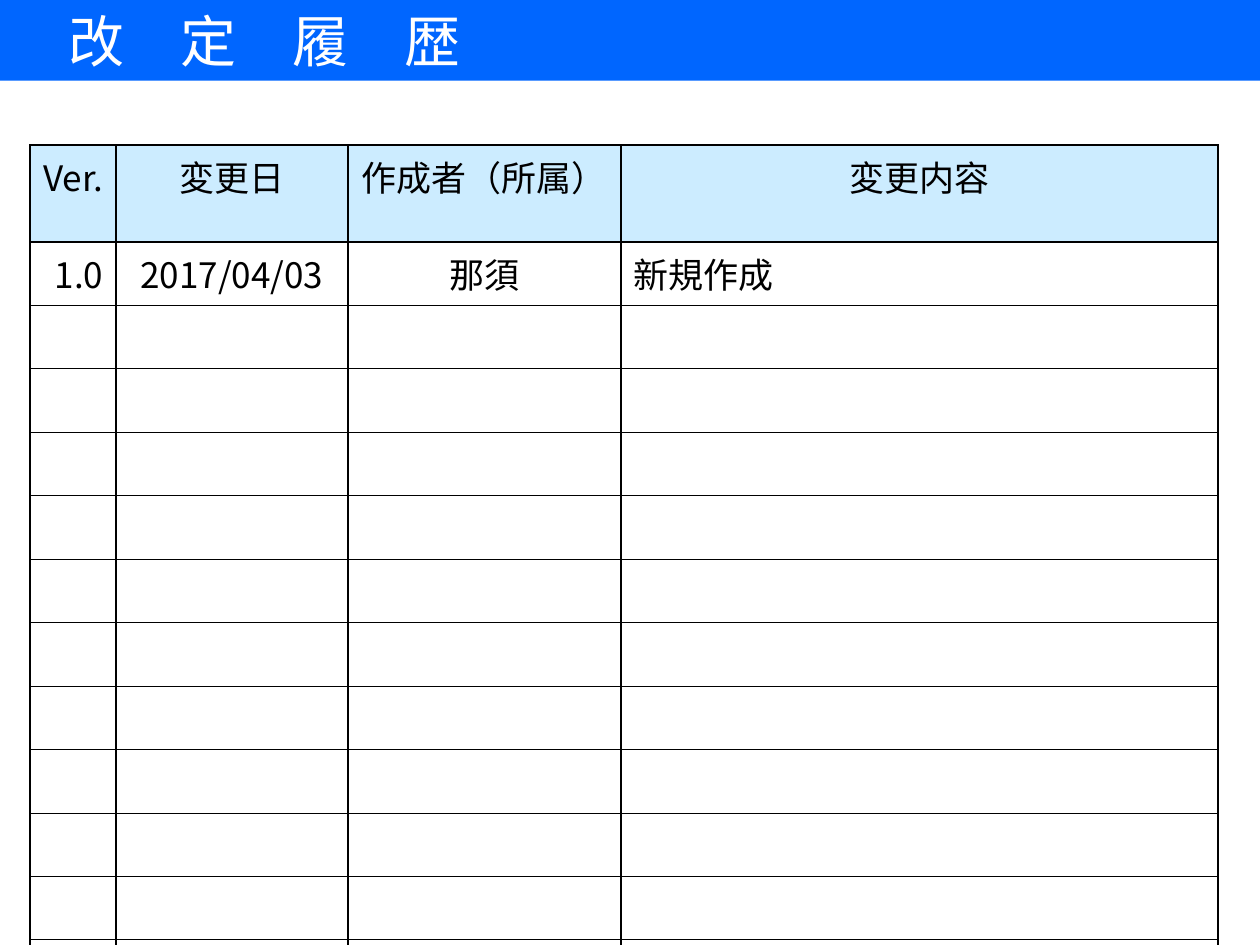
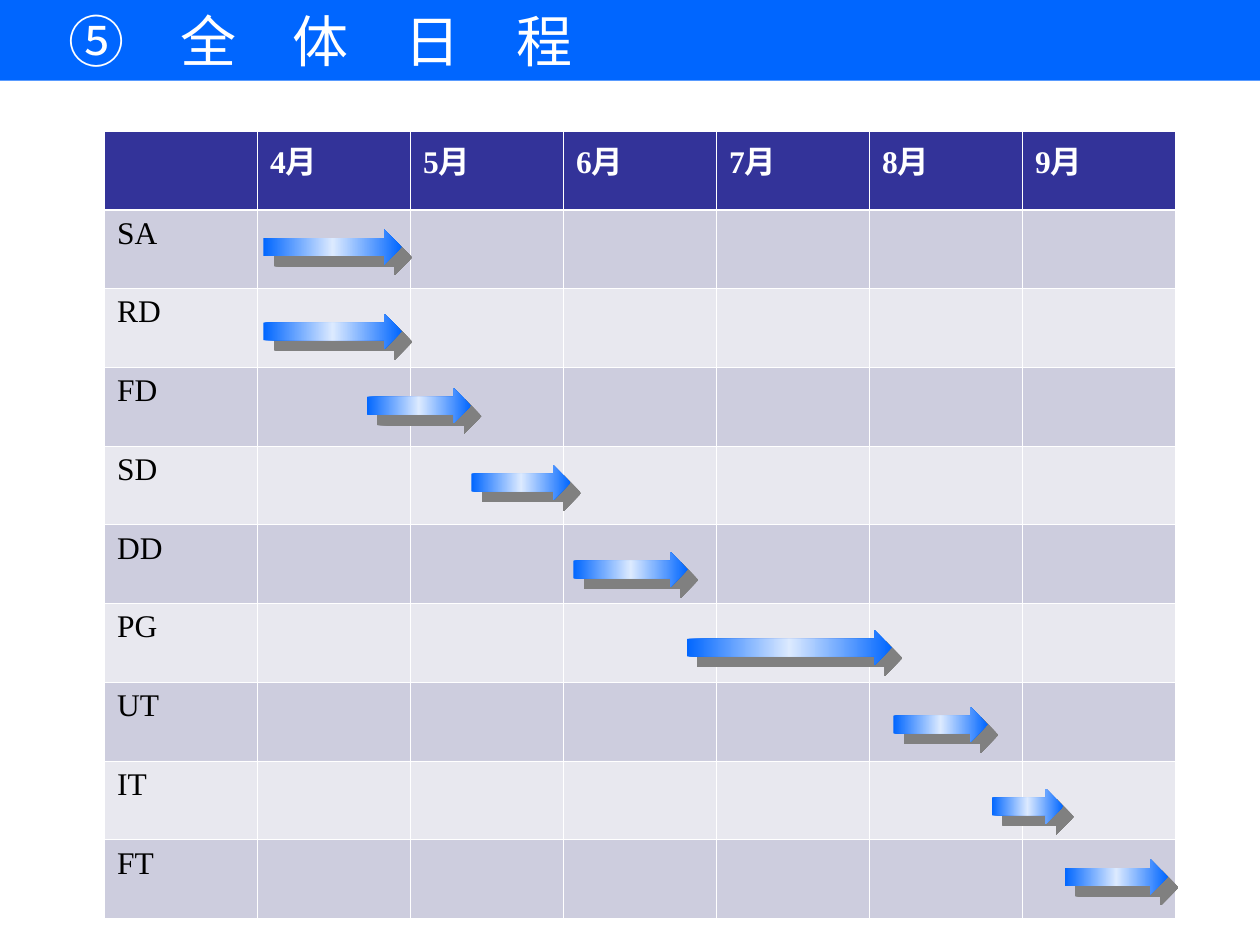
from dataclasses import dataclass

from pptx import Presentation, util as u
from pptx.dml.color import RGBColor
from pptx.enum import shapes, text
from pptx.oxml import parse_xml
from pptx.oxml.ns import nsdecls, qn


@dataclass(frozen=True)
class Theme:
    band: str = "0066FF"
    shine: str = "DCEAFF"
    shadow: str = "808080"
    ink: str = "000000"
    paper: str = "FFFFFF"
    history_header: str = "CCECFF"
    month_header: str = "333399"
    stripes: tuple = ("CDCDDE", "E8E8EF")
    serif: str = "Times New Roman"
    sans: str = "Noto Sans CJK JP"
    title_size: int = 32
    history_size: int = 20
    schedule_size: int = 18
    thin: float = 0.45
    medium: float = 1.08
    thick: float = 1.47


THEME = Theme()
LEFT, CENTER, RIGHT = text.PP_ALIGN.LEFT, text.PP_ALIGN.CENTER, text.PP_ALIGN.RIGHT

HISTORY_WIDTHS = (0.68, 1.84, 2.17, 4.74)
HISTORY_HEADER = ("Ver.", "変更日", "作成者（所属）", "変更内容")
HISTORY_ENTRY = ("1.0", "2017/04/03", "那須", "新規作成")
HISTORY_ALIGN = (RIGHT, CENTER, CENTER, LEFT)
EMPTY_ROWS = 11

MONTHS = ("4月", "5月", "6月", "7月", "8月", "9月")
# phase: left, top and length of its arrow in inches
PHASES = {
    "SA": (2.09, 1.82, 1.10),
    "RD": (2.09, 2.49, 1.10),
    "FD": (2.91, 3.08, 0.83),
    "SD": (3.74, 3.69, 0.79),
    "DD": (4.55, 4.38, 0.91),
    "PG": (5.45, 5.00, 1.63),
    "UT": (7.09, 5.61, 0.75),
    "IT": (7.87, 6.26, 0.57),
    "FT": (8.45, 6.82, 0.82),
}
ARROW_HEIGHT = 0.28


def rgb(color):
    return RGBColor.from_string(color)


def style_font(font, name, size, color, bold=False):
    font.name, font.size, font.bold = name, u.Pt(size), bold
    font.color.rgb = rgb(color)


def add_titled_slide(deck, title):
    """Add a slide whose title placeholder is the blue band at the top."""
    page = deck.slides.add_slide(deck.slide_layouts[5])
    band = page.shapes.title
    band.left, band.top = 0, 0
    band.width, band.height = deck.slide_width, u.Inches(0.64)
    band.fill.solid()
    band.fill.fore_color.rgb = rgb(THEME.band)
    frame = band.text_frame
    frame.text = title
    frame.auto_size = text.MSO_AUTO_SIZE.NONE
    frame.vertical_anchor = text.MSO_ANCHOR.MIDDLE
    para = frame.paragraphs[0]
    para.alignment = LEFT
    style_font(para.font, THEME.serif, THEME.title_size, THEME.paper)
    return page


def add_plain_table(page, left, top, widths, heights):
    """Add a table with no style bands and the given column and row sizes."""
    frame = page.shapes.add_table(
        len(heights), len(widths), u.Inches(left), u.Inches(top),
        u.Inches(sum(widths)), u.Inches(sum(heights)))
    table = frame.table
    table.first_row = table.horz_banding = False
    for column, width in zip(table.columns, widths):
        column.width = u.Inches(width)
    for row, height in zip(table.rows, heights):
        row.height = u.Inches(height)
    return table


def set_borders(cell, color, sides, top, bottom):
    """Draw the four cell borders; sides, top and bottom are widths in points."""
    properties = cell._tc.get_or_add_tcPr()
    widths = {"lnL": sides, "lnR": sides, "lnT": top, "lnB": bottom}
    for index, (tag, width) in enumerate(widths.items()):
        properties.insert(index, parse_xml(
            f'<a:{tag} {nsdecls("a")} w="{u.Pt(width)}"><a:solidFill>'
            f'<a:srgbClr val="{color}"/></a:solidFill></a:{tag}>'))


def fill_cell(cell, words, fill):
    """Set fill and words of a cell and return its paragraph."""
    cell.fill.solid()
    cell.fill.fore_color.rgb = rgb(fill)
    cell.text = words
    return cell.text_frame.paragraphs[0]


def add_history_table(page):
    rows = [HISTORY_HEADER, HISTORY_ENTRY] + [("",) * 4] * EMPTY_ROWS
    heights = [0.77, 0.43] + [0.5] * EMPTY_ROWS
    table = add_plain_table(page, 0.24, 1.15, HISTORY_WIDTHS, heights)
    last = len(rows) - 1
    for r, row in enumerate(rows):
        for c, words in enumerate(row):
            cell = table.cell(r, c)
            para = fill_cell(cell, words, THEME.paper if r else THEME.history_header)
            para.alignment = HISTORY_ALIGN[c] if r else CENTER
            para.space_before = u.Pt(5)
            style_font(para.font, THEME.sans, THEME.history_size, THEME.ink)
            set_borders(cell, THEME.ink, THEME.medium,
                        top=THEME.medium if r < 2 else THEME.thin,
                        bottom=THEME.medium if r in (0, last) else THEME.thin)


def add_schedule_table(page):
    rows = [("", *MONTHS)] + [(phase,) + ("",) * len(MONTHS) for phase in PHASES]
    columns = len(MONTHS) + 1
    table = add_plain_table(page, 0.83, 1.04, [8.5 / columns] * columns,
                            [6.25 / len(rows)] * len(rows))
    for r, row in enumerate(rows):
        header = r == 0
        fill = THEME.month_header if header else THEME.stripes[(r - 1) % 2]
        for c, words in enumerate(row):
            cell = table.cell(r, c)
            para = fill_cell(cell, words, fill)
            style_font(para.font, THEME.serif, THEME.schedule_size,
                       THEME.paper if header else THEME.ink, bold=header)
            set_borders(cell, THEME.paper, THEME.thin,
                        top=THEME.thick if r == 1 else THEME.thin,
                        bottom=THEME.thick if header else THEME.thin)


def add_phase_arrow(page, left, top, length):
    """Add an arrow with a glossy gradient and a hard shadow."""
    arrow = page.shapes.add_shape(
        shapes.MSO_SHAPE.RIGHT_ARROW, u.Inches(left), u.Inches(top),
        u.Inches(length), u.Inches(ARROW_HEIGHT))
    arrow.line.fill.background()
    arrow.shadow.inherit = False
    properties = arrow._element.spPr
    stops = "".join(
        f'<a:gs pos="{position}"><a:srgbClr val="{color}"/></a:gs>'
        for position, color in ((0, THEME.band), (50000, THEME.shine), (100000, THEME.band)))
    properties.find(qn("a:ln")).addprevious(parse_xml(
        f'<a:gradFill {nsdecls("a")}><a:gsLst>{stops}</a:gsLst><a:lin ang="0"/></a:gradFill>'))
    properties.find(qn("a:effectLst")).append(parse_xml(
        f'<a:outerShdw {nsdecls("a")} dist="{u.Pt(8.5)}" dir="2700000" algn="ctr" '
        f'rotWithShape="0"><a:srgbClr val="{THEME.shadow}"/></a:outerShdw>'))


def main():
    deck = Presentation()
    deck.slide_width, deck.slide_height = u.Inches(10), u.Inches(7.5)

    add_history_table(add_titled_slide(deck, "　改　定　履　歴"))

    schedule = add_titled_slide(deck, "　⑤　全　体　日　程")
    add_schedule_table(schedule)
    for left, top, length in PHASES.values():
        add_phase_arrow(schedule, left, top, length)

    deck.save("out.pptx")


if __name__ == "__main__":
    main()
